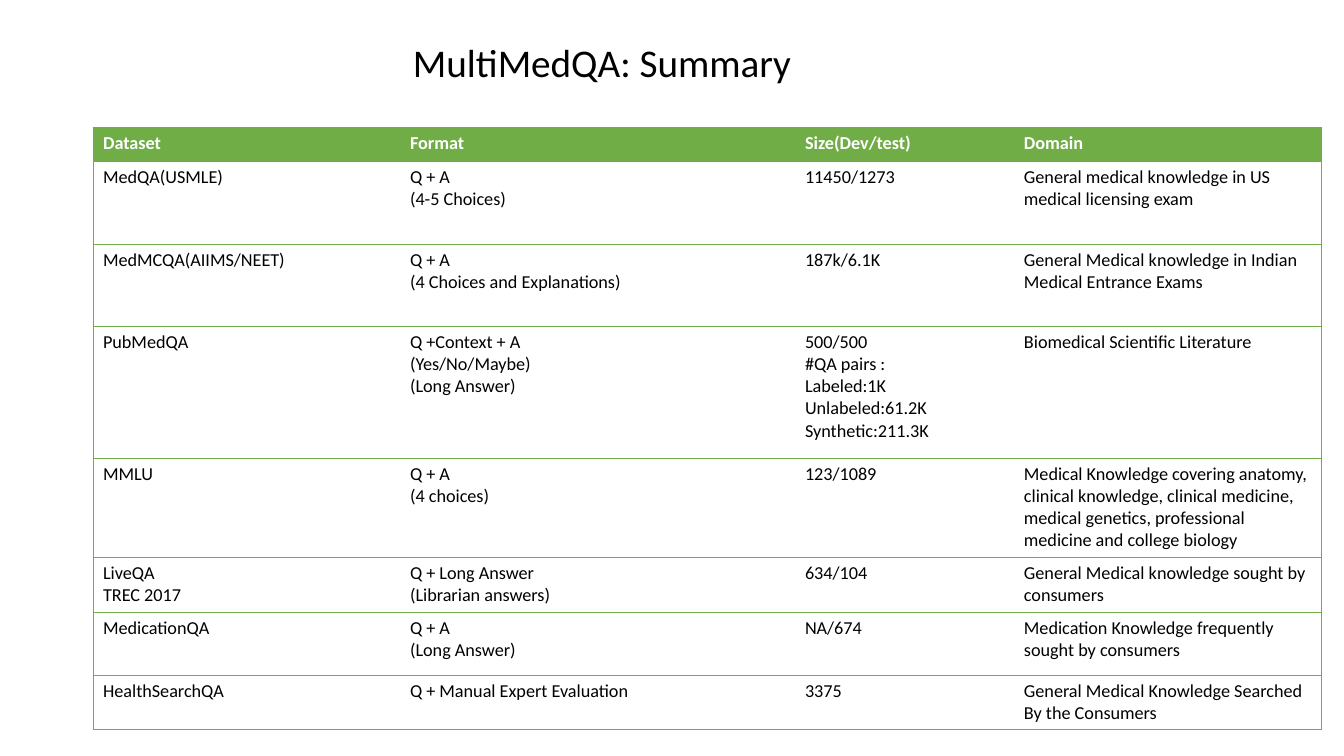
from dataclasses import dataclass

from lxml.etree import SubElement
from pptx import Presentation
from pptx.dml.color import RGBColor
from pptx.enum.text import MSO_ANCHOR, PP_ALIGN
from pptx.oxml.ns import qn
from pptx.util import Emu, Pt


@dataclass(frozen=True)
class Theme:
    font: str = "Calibri"
    title_size: int = 28
    cell_size: int = 13
    green: str = "70AD47"
    black: str = "000000"
    white: str = "FFFFFF"
    border: float = 0.5


theme = Theme()

TITLE = "MultiMedQA: Summary"
HEADER = ("Dataset", "Format", "Size(Dev/test)", "Domain")
DATASETS = [
    ("MedQA(USMLE)", "Q + A\n(4-5 Choices)", "11450/1273",
     "General medical knowledge in US medical licensing exam"),
    ("MedMCQA(AIIMS/NEET)", "Q + A\n(4 Choices and Explanations)", "187k/6.1K",
     "General Medical knowledge in Indian Medical Entrance Exams"),
    ("PubMedQA", "Q +Context + A\n(Yes/No/Maybe)\n(Long Answer)",
     "500/500\n#QA pairs :\nLabeled:1K\nUnlabeled:61.2K\nSynthetic:211.3K",
     "Biomedical Scientific Literature"),
    ("MMLU", "Q + A\n(4 choices)", "123/1089",
     "Medical Knowledge covering anatomy, clinical knowledge, clinical medicine, "
     "medical genetics, professional medicine and college biology"),
    ("LiveQA\nTREC 2017", "Q + Long Answer\n(Librarian answers)", "634/104",
     "General Medical knowledge sought by consumers"),
    ("MedicationQA", "Q + A\n(Long Answer)", "NA/674",
     "Medication Knowledge frequently sought by consumers"),
    ("HealthSearchQA", "Q + Manual Expert Evaluation", "3375",
     "General Medical Knowledge Searched By the Consumers"),
]
COLUMN_WIDTHS = (307, 395, 219, 307)
ROW_HEIGHTS = (34, 83, 82, 132, 99, 55, 63, 54)
LEFT, TABLE_TOP = 93, 127
TITLE_TOP, TITLE_WIDTH, TITLE_HEIGHT, TITLE_INDENT = 40, 1159, 50, 320


def px(n):
    return Emu(round(n * 914400 / 100.8))


def add_run(p, text, size, color, bold=False):
    r = p.add_run()
    r.text = text
    r.font.name = theme.font
    r.font.size = Pt(size)
    r.font.bold = bold
    r.font.color.rgb = RGBColor.from_string(color)


def set_borders(cell, visible):
    tcPr = cell._tc.get_or_add_tcPr()
    for side in "LRTB":
        ln = SubElement(tcPr, qn(f"a:ln{side}"), w=str(Pt(theme.border)))
        if side in visible:
            fill = SubElement(ln, qn("a:solidFill"))
            SubElement(fill, qn("a:srgbClr"), val=theme.green)
        else:
            SubElement(ln, qn("a:noFill"))


def add_title(s):
    title = s.shapes.title
    title.left, title.top = px(LEFT), px(TITLE_TOP)
    title.width, title.height = px(TITLE_WIDTH), px(TITLE_HEIGHT)
    tf = title.text_frame
    tf.word_wrap = True
    tf.margin_left = px(TITLE_INDENT)
    tf.margin_top = tf.margin_bottom = 0
    tf.vertical_anchor = MSO_ANCHOR.MIDDLE
    p = tf.paragraphs[0]
    p.alignment = PP_ALIGN.LEFT
    p.line_spacing = 0.9
    add_run(p, TITLE, theme.title_size, theme.black)


def fill_cell(cell, text, is_header, visible):
    set_borders(cell, visible)
    if is_header:
        cell.fill.solid()
        cell.fill.fore_color.rgb = RGBColor.from_string(theme.green)
    else:
        cell.fill.background()
    color = theme.white if is_header else theme.black
    tf = cell.text_frame
    for i, line in enumerate(text.split("\n")):
        p = tf.add_paragraph() if i else tf.paragraphs[0]
        add_run(p, line, theme.cell_size, color, is_header)


def add_dataset_table(s):
    rows = [HEADER, *DATASETS]
    table = s.shapes.add_table(
        len(rows), len(HEADER), px(LEFT), px(TABLE_TOP),
        px(sum(COLUMN_WIDTHS)), px(sum(ROW_HEIGHTS))).table
    table.horz_banding = False
    for column, width in zip(table.columns, COLUMN_WIDTHS):
        column.width = px(width)
    for row, height in zip(table.rows, ROW_HEIGHTS):
        row.height = px(height)
    last = len(HEADER) - 1
    for i, row in enumerate(rows):
        for j, text in enumerate(row):
            visible = "TB" + ("L" if j == 0 else "") + ("R" if j == last else "")
            fill_cell(table.cell(i, j), text, i == 0, visible)


def main():
    prs = Presentation()
    prs.slide_width, prs.slide_height = px(1344), px(756)
    s = prs.slides.add_slide(prs.slide_layouts[5])
    add_title(s)
    add_dataset_table(s)
    prs.save("out.pptx")


if __name__ == "__main__":
    main()
